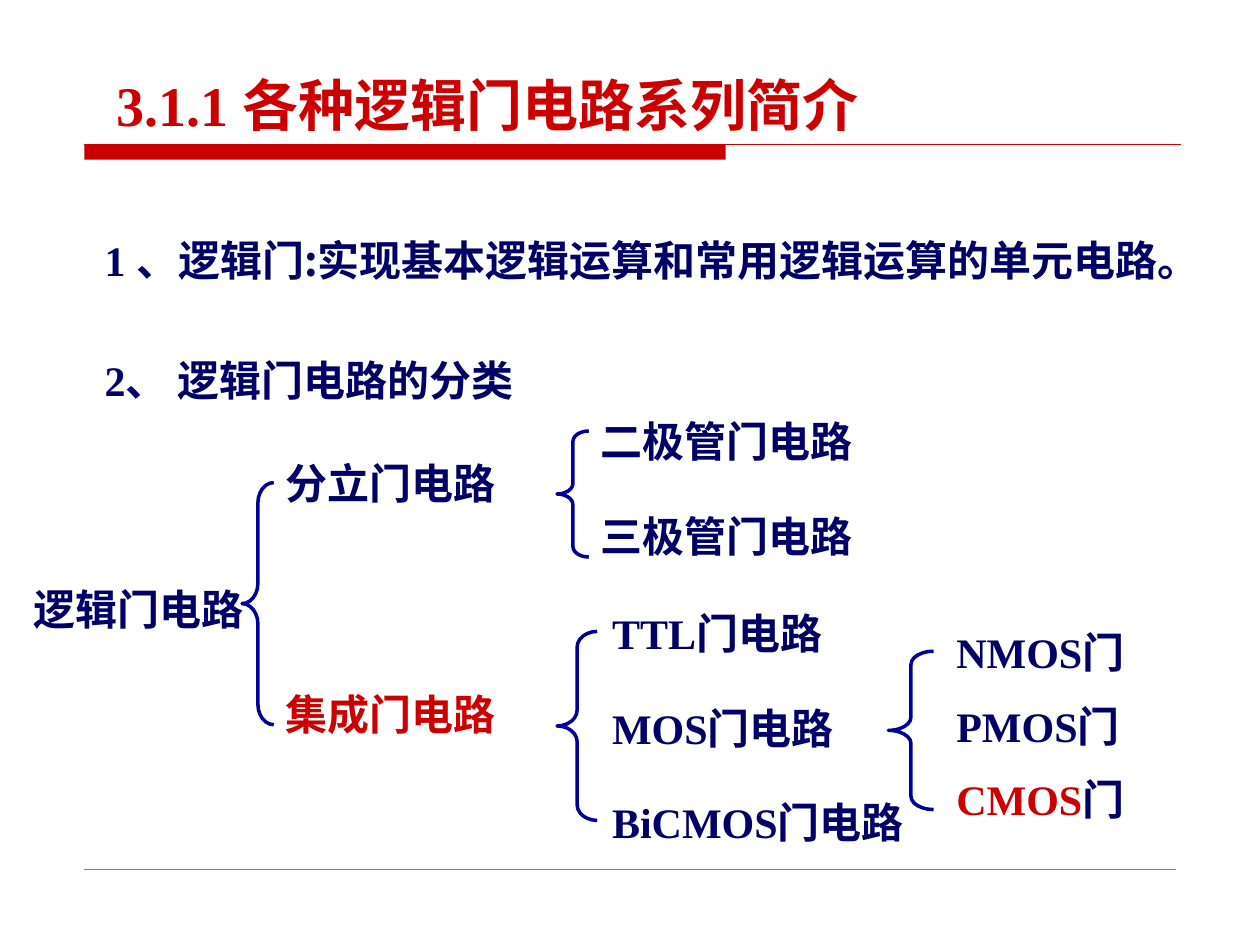
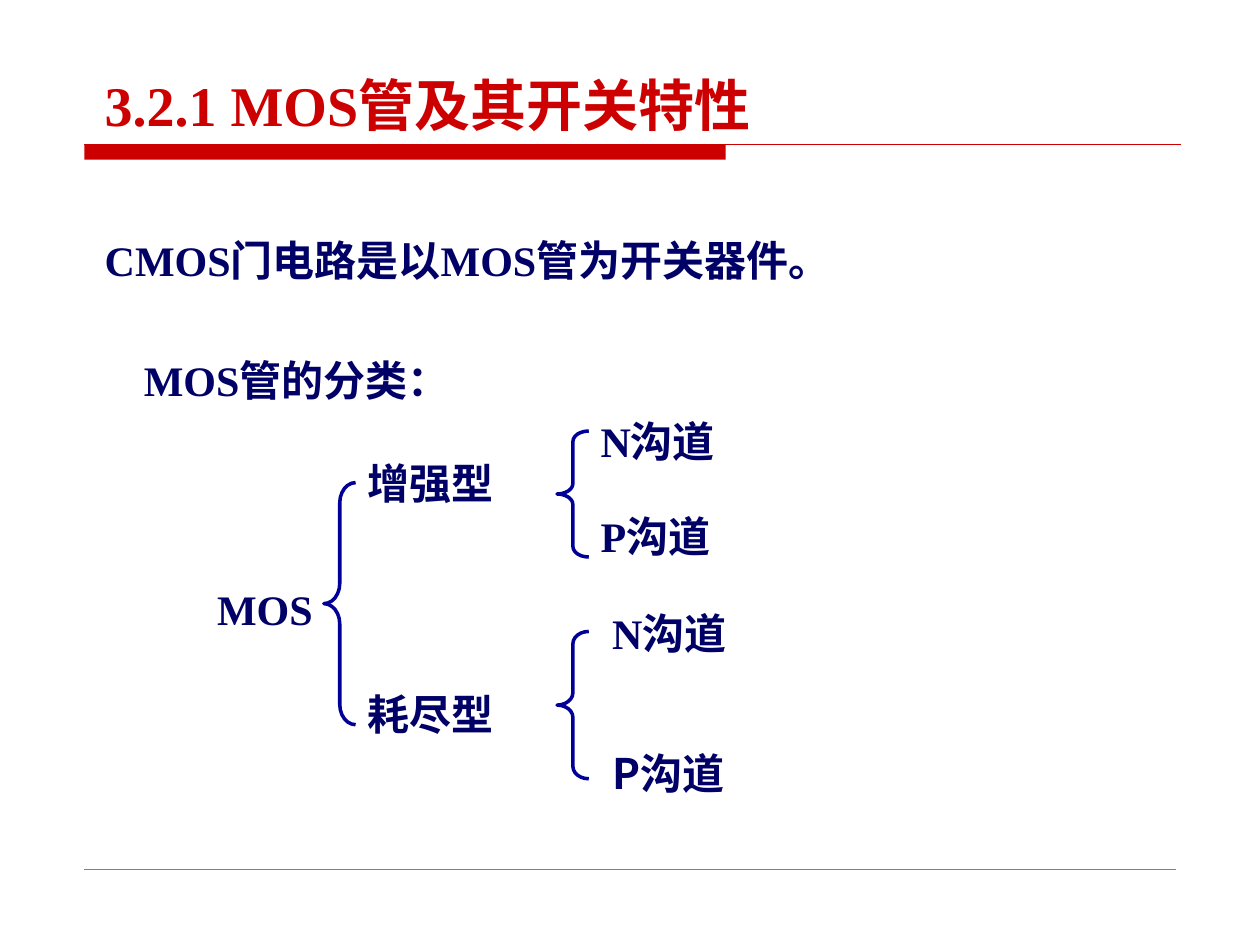
from itertools import groupby

from lxml.etree import SubElement
from pptx import Presentation
from pptx.dml.color import RGBColor
from pptx.enum.shapes import MSO_CONNECTOR, MSO_SHAPE
from pptx.enum.text import MSO_ANCHOR, MSO_AUTO_SIZE, PP_ALIGN
from pptx.oxml.ns import qn
from pptx.util import Cm, Pt

RED, NAVY, BLUE, GRAY = "CC0000", "000066", "000099", "808080"
LATIN, CJK = "Times New Roman", "Noto Sans CJK SC"
LABEL_HEIGHT = 1.47
LABEL_INSETS = (0.25, 0.13)
STATEMENT_HEIGHT = 2.3
STATEMENT_TOPS = (4.08, 6.5)
TITLE_TAB = 2.77

SLIDES = [
    {
        "title": ("3.1.1\t各种逻辑门电路系列简介", 2.29),
        "statements": [
            ("1 、逻辑门:实现基本逻辑运算和常用逻辑运算的单元电路。", 2.11, 22.6),
            ("2、 逻辑门电路的分类", 2.11, 12.7),
        ],
        "root": ("逻辑门电路", 0.43, PP_ALIGN.LEFT),
        "groups": [
            {"at": (5.51, 8.89), "step": 4.65, "labels": ["分立门电路", "集成门电路"],
             "emphasis": "集成门电路", "brace": (4.88, 9.73, 0.64, 4.88)},
            {"at": (11.86, 8.05), "step": 1.91, "labels": ["二极管门电路", "三极管门电路"],
             "brace": (11.23, 8.69, 0.64, 2.54)},
            {"at": (12.09, 11.91), "step": 1.91,
             "labels": ["TTL门电路", "MOS门电路", "BiCMOS门电路"],
             "brace": (11.23, 12.73, 0.81, 3.81)},
            {"at": (19.03, 12.29), "step": 1.49, "labels": ["NMOS门", "PMOS门", "CMOS门"],
             "emphasis": "CMOS", "brace": (17.91, 13.13, 0.91, 3.19)},
        ],
    },
    {
        "title": ("3.2.1\tMOS管及其开关特性", 2.06),
        "statements": [
            ("CMOS门电路是以MOS管为开关器件。", 2.11, 20.4),
            ("MOS管的分类：", 2.9, 12.7),
        ],
        "root": ("MOS", 2.9, PP_ALIGN.CENTER),
        "groups": [
            {"at": (7.16, 8.89), "step": 4.65, "labels": ["增强型", "耗尽型"],
             "brace": (6.53, 9.73, 0.64, 4.88)},
            {"at": (11.86, 8.05), "step": 1.91, "labels": ["N沟道", "P沟道"],
             "brace": (11.23, 8.69, 0.64, 2.54)},
            {"at": (12.09, 11.91), "step": 2.82, "labels": ["N沟道", "P沟道"],
             "latin": {1: CJK}, "brace": (11.23, 12.73, 0.64, 2.97)},
        ],
    },
]


def rgb(value):
    return RGBColor.from_string(value)


def is_latin(char):
    return char.isascii() and char != ":"


def write(box, text, size=24, color=NAVY, emphasis=None, latin=LATIN, align=PP_ALIGN.LEFT,
          anchor=MSO_ANCHOR.TOP, insets=(0, 0), spacing=1.0, tab=None):
    frame = box.text_frame
    frame.word_wrap = True
    frame.auto_size = MSO_AUTO_SIZE.NONE
    frame.vertical_anchor = anchor
    frame.margin_left = frame.margin_right = Cm(insets[0])
    frame.margin_top = frame.margin_bottom = Cm(insets[1])
    paragraph = frame.paragraphs[0]
    properties = paragraph._p.get_or_add_pPr()
    properties.set("marL", "0")
    properties.set("indent", "0")
    SubElement(properties, qn("a:buNone"))
    if tab:
        stops = SubElement(properties, qn("a:tabLst"))
        SubElement(stops, qn("a:tab"), pos=str(Cm(tab)), algn="l")
    paragraph.alignment = align
    paragraph.line_spacing = spacing
    paragraph.space_before = Pt(0)
    for latin_part, chars in groupby(text, is_latin):
        run = paragraph.add_run()
        run.text = "".join(chars)
        font = run.font
        font.size, font.bold = Pt(size), True
        font.color.rgb = rgb(RED if run.text == emphasis else color)
        font.name = latin if latin_part else CJK
        SubElement(run._r.get_or_add_rPr(), qn("a:ea"), typeface=CJK)


def place(box, left, top, width, height):
    box.left, box.top, box.width, box.height = map(Cm, (left, top, width, height))


def add_label(slide, text, left, top, width=7.4, **format):
    label = slide.shapes.add_textbox(Cm(left), Cm(top), Cm(width), Cm(LABEL_HEIGHT))
    write(label, text, insets=LABEL_INSETS, spacing=1.2, **format)


def add_rule(slide, left, right, y, color, weight):
    rule = slide.shapes.add_connector(MSO_CONNECTOR.STRAIGHT, Cm(left), Cm(y), Cm(right), Cm(y))
    rule.line.color.rgb = rgb(color)
    rule.line.width = Pt(weight)
    SubElement(rule._element.spPr, qn("a:effectLst"))


def add_frame(slide):
    band = slide.shapes.add_shape(MSO_SHAPE.RECTANGLE, Cm(1.7), Cm(2.92), Cm(12.93), Cm(0.3))
    band.shadow.inherit = False
    band.fill.solid()
    band.fill.fore_color.rgb = rgb(RED)
    band.line.fill.background()
    add_rule(slide, 1.7, 23.8, 2.92, RED, 0.75)
    add_rule(slide, 1.7, 23.7, 17.53, GRAY, 0.25)


def add_brace(slide, left, top, width, height):
    brace = slide.shapes.add_shape(MSO_SHAPE.LEFT_BRACE, *map(Cm, (left, top, width, height)))
    brace.adjustments[0] = height / width / 12
    brace.shadow.inherit = False
    brace.fill.background()
    brace.line.color.rgb = rgb(BLUE)
    brace.line.width = Pt(2)


def add_group(slide, group):
    left, top = group["at"]
    for row, text in enumerate(group["labels"]):
        add_label(slide, text, left, top + row * group["step"], emphasis=group.get("emphasis"),
                  latin=group.get("latin", {}).get(row, LATIN))
    add_brace(slide, *group["brace"])


def build_slide(deck, content):
    slide = deck.slides.add_slide(deck.slide_layouts[3])
    title, *bodies = slide.placeholders
    add_frame(slide)
    heading, heading_left = content["title"]
    place(title, heading_left, 1.4, 18, 1.42)
    write(title, heading, size=32, color=RED, insets=(0.05, 0.03), tab=TITLE_TAB)
    for body, top, (text, left, width) in zip(bodies, STATEMENT_TOPS, content["statements"]):
        place(body, left, top, width, STATEMENT_HEIGHT)
        write(body, text, anchor=MSO_ANCHOR.MIDDLE)
    root, root_left, root_align = content["root"]
    add_label(slide, root, root_left, 11.43, width=4.88, align=root_align)
    for group in content["groups"]:
        add_group(slide, group)


def main():
    deck = Presentation()
    deck.slide_width, deck.slide_height = Cm(25.4), Cm(19.05)
    for content in SLIDES:
        build_slide(deck, content)
    deck.save("out.pptx")


if __name__ == "__main__":
    main()
